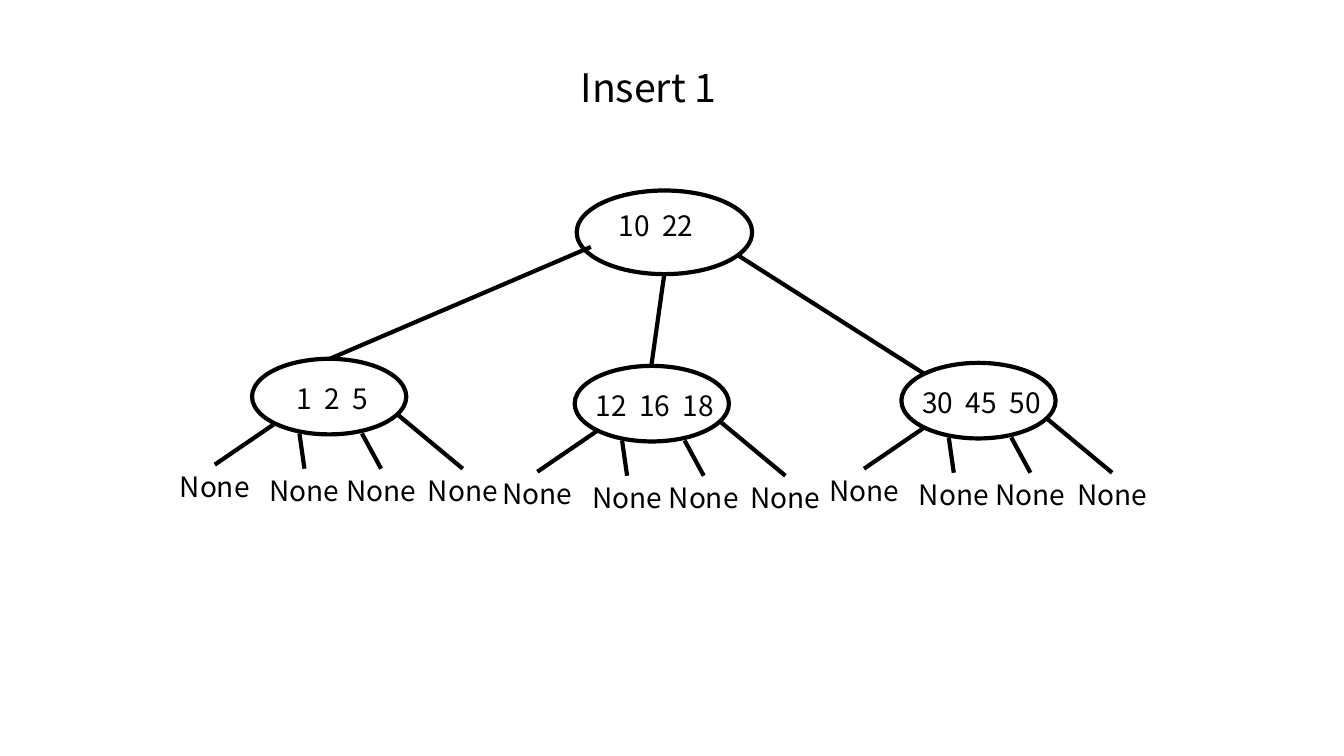
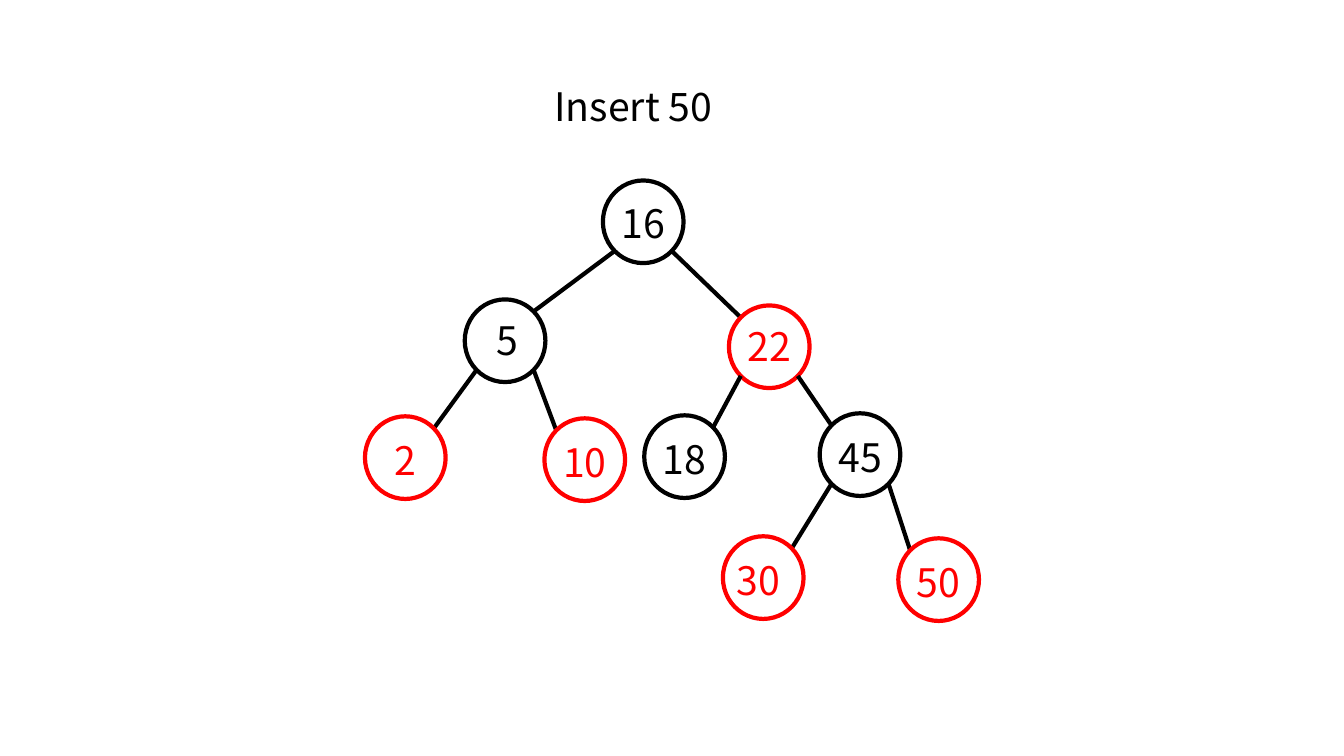
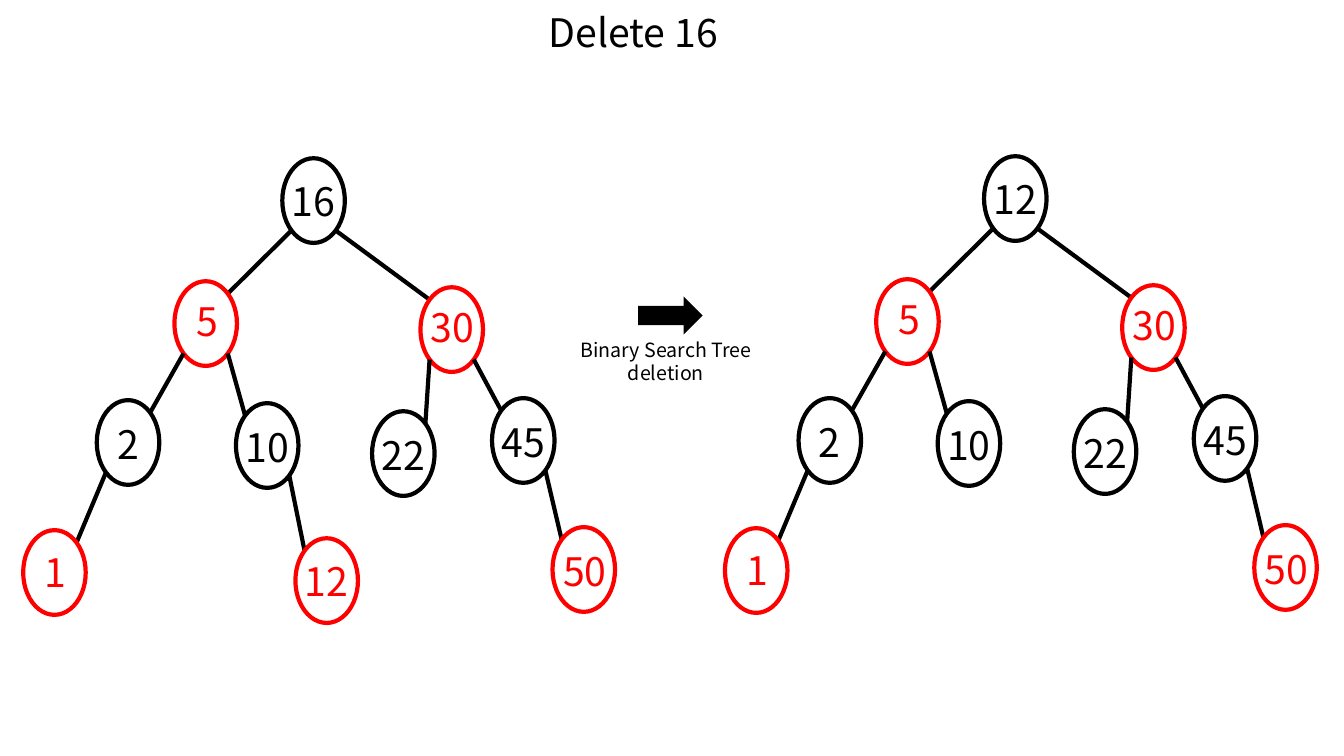
from math import sqrt

from pptx import Presentation
from pptx.dml.color import RGBColor
from pptx.enum import shapes, text
from pptx.oxml.ns import qn
from pptx.util import Inches, Pt

FONT = "Noto Sans CJK KR"
BLACK, RED, WHITE = "000000", "FF0000", "FFFFFF"
STROKE = 3

# Binary trees: key, parent, left, top, colour, label offset from the node
INSERT_TREE = [
    (16, None, 5.98, 1.79, BLACK, (-0.05, 0.14)),
    (5, 16, 4.61, 2.97, BLACK, (-0.03, 0.12)),
    (22, 16, 7.23, 3.03, RED, (-0.05, 0.12)),
    (2, 5, 3.62, 4.13, RED, (-0.05, 0.15)),
    (10, 5, 5.4, 4.15, RED, (-0.05, 0.15)),
    (18, 22, 6.39, 4.12, BLACK, (-0.05, 0.15)),
    (45, 22, 8.13, 4.1, BLACK, (-0.05, 0.15)),
    (30, 45, 7.17, 5.32, RED, (-0.1, 0.15)),
    (50, 45, 8.91, 5.34, RED, (-0.05, 0.15)),
]
# Children shared by the trees before and after the deletion
DELETE_BRANCHES = [
    (5, "root", 1.73, 2.79, RED, (-0.02, 0.11)),
    (30, "root", 4.17, 2.85, RED, (-0.03, 0.11)),
    (2, 5, 0.96, 3.97, BLACK, (-0.04, 0.15)),
    (10, 5, 2.34, 4, BLACK, (-0.04, 0.15)),
    (22, 30, 3.69, 4.08, BLACK, (-0.04, 0.15)),
    (45, 30, 4.88, 3.95, BLACK, (-0.04, 0.15)),
    (1, 2, 0.23, 5.26, RED, (-0.03, 0.13)),
    (50, 45, 5.48, 5.23, RED, (-0.03, 0.15)),
]
DELETED_LEAF = (12, 10, 2.93, 5.34, RED, (-0.04, 0.14))

# Multiway tree: keys and position of each child node
CHILD_NODES = [((1, 2, 5), 2.5, 3.56), ((12, 16, 18), 5.7, 3.63),
               ((30, 45, 50), 8.94, 3.6)]
ROOT_EDGES = [(5.86, 2.45, 3.27, 3.56), (6.59, 2.71, 6.46, 3.63),
              (7.33, 2.54, 9.17, 3.71)]
# Edges to the empty children, measured from the node's corner
NONE_EDGES = [(0.23, 0.64, -0.37, 1.05), (0.47, 0.74, 0.52, 1.09),
              (1.09, 0.74, 1.28, 1.09), (1.44, 0.55, 2.09, 1.09)]


def rgb(value):
    return RGBColor.from_string(value)


def add_text(slide, wording, left, top, width, height, size=28, color=BLACK):
    box = slide.shapes.add_textbox(Inches(left), Inches(top),
                                   Inches(width), Inches(height))
    frame = box.text_frame
    frame.word_wrap = True
    frame.auto_size = text.MSO_AUTO_SIZE.SHAPE_TO_FIT_TEXT
    paragraph = frame.paragraphs[0]
    paragraph.alignment = text.PP_ALIGN.CENTER
    run = paragraph.add_run()
    run.text = wording
    run.font.name = FONT
    run.font.size = Pt(size)
    run.font.color.rgb = rgb(color)


def add_ellipse(slide, left, top, width, height, color=BLACK):
    ellipse = slide.shapes.add_shape(shapes.MSO_SHAPE.OVAL, Inches(left),
                                     Inches(top), Inches(width), Inches(height))
    ellipse.shadow.inherit = False
    ellipse.fill.background()
    ellipse.line.color.rgb = rgb(color)
    ellipse.line.width = Pt(STROKE)


def add_edge(slide, x1, y1, x2, y2):
    edge = slide.shapes.add_connector(shapes.MSO_CONNECTOR.STRAIGHT, Inches(x1),
                                      Inches(y1), Inches(x2), Inches(y2))
    edge.line.color.rgb = rgb(BLACK)
    edge.line.width = Pt(STROKE)
    properties = edge._element.spPr
    properties.append(properties.makeelement(qn("a:effectLst"), {}))


def add_step_arrow(slide, left, top, width, height):
    arrow = slide.shapes.add_shape(shapes.MSO_SHAPE.RIGHT_ARROW, Inches(left),
                                   Inches(top), Inches(width), Inches(height))
    arrow.shadow.inherit = False
    arrow.fill.solid()
    arrow.fill.fore_color.rgb = rgb(BLACK)
    arrow.line.fill.background()


def join_keys(keys):
    return "  ".join(map(str, keys))


def add_child_node(slide, keys, left, top):
    """A node of three keys with its four empty children."""
    add_ellipse(slide, left, top, 1.53, 0.75)
    add_text(slide, join_keys(keys), left - 0.09, top + 0.18, 1.77, 0.44, size=20)
    for x1, y1, x2, y2 in NONE_EDGES:
        add_edge(slide, left + x1, top + y1, left + x2, top + y2)
        add_text(slide, "None", left + x2 - 0.5, top + y2, 1, 0.44, size=20)


def add_binary_tree(slide, nodes, node_size, label_size, shift=(0, 0)):
    """Edges run between the diagonal points of parent and child."""
    width, height = node_size
    reach_x, reach_y = width / sqrt(8), height / sqrt(8)
    centers = {}
    for key, parent, left, top, color, (label_dx, label_dy) in nodes:
        left, top = left + shift[0], top + shift[1]
        x, y = left + width / 2, top + height / 2
        centers["root" if parent is None else key] = x, y
        if parent is not None:
            parent_x, parent_y = centers[parent]
            side = 1 if x > parent_x else -1
            add_edge(slide, parent_x + side * reach_x, parent_y + reach_y,
                     x - side * reach_x, y - reach_y)
        add_ellipse(slide, left, top, width, height, color)
        add_text(slide, str(key), left + label_dx, top + label_dy,
                 *label_size, color=color)


def add_slide(deck, title, left, top, width):
    slide = deck.slides.add_slide(deck.slide_layouts[6])
    slide.background.fill.solid()
    slide.background.fill.fore_color.rgb = rgb(WHITE)
    add_text(slide, title, left, top, width, 0.57)
    return slide


def build_multiway_insert(deck):
    slide = add_slide(deck, "Insert 1 ", 2.75, 0.58, 7.45)
    add_ellipse(slide, 5.72, 1.89, 1.74, 0.83)
    add_text(slide, join_keys((10, 22)), 5.35, 2.02, 2.31, 0.63, size=20)
    for ends in ROOT_EDGES:
        add_edge(slide, *ends)
    for keys, left, top in CHILD_NODES:
        add_child_node(slide, keys, left, top)


def build_red_black_insert(deck):
    slide = add_slide(deck, "Insert 50", 4.89, 0.77, 2.78)
    nodes = [(key, "root" if parent == 16 else parent, *rest)
             for key, parent, *rest in INSERT_TREE[1:]]
    add_binary_tree(slide, INSERT_TREE[:1] + nodes, (0.8, 0.82), (0.9, 0.57))


def build_red_black_delete(deck):
    slide = add_slide(deck, "Delete 16", 4.89, 0.03, 2.78)
    add_step_arrow(slide, 6.33, 2.94, 0.64, 0.38)
    add_text(slide, "Binary Search Tree deletion", 5.48, 3.3, 2.25, 0.57, size=14)
    steps = [(16, [DELETED_LEAF], (0, 0)), (12, [], (6.96, -0.02))]
    for root_key, extra, shift in steps:
        root = (root_key, None, 2.8, 1.57, BLACK, (-0.04, 0.14))
        add_binary_tree(slide, [root] + DELETE_BRANCHES + extra,
                        (0.62, 0.84), (0.7, 0.59), shift)


def main():
    deck = Presentation()
    deck.slide_width, deck.slide_height = Inches(13.33), Inches(7.5)
    build_multiway_insert(deck)
    build_red_black_insert(deck)
    build_red_black_delete(deck)
    deck.save("out.pptx")


main()
